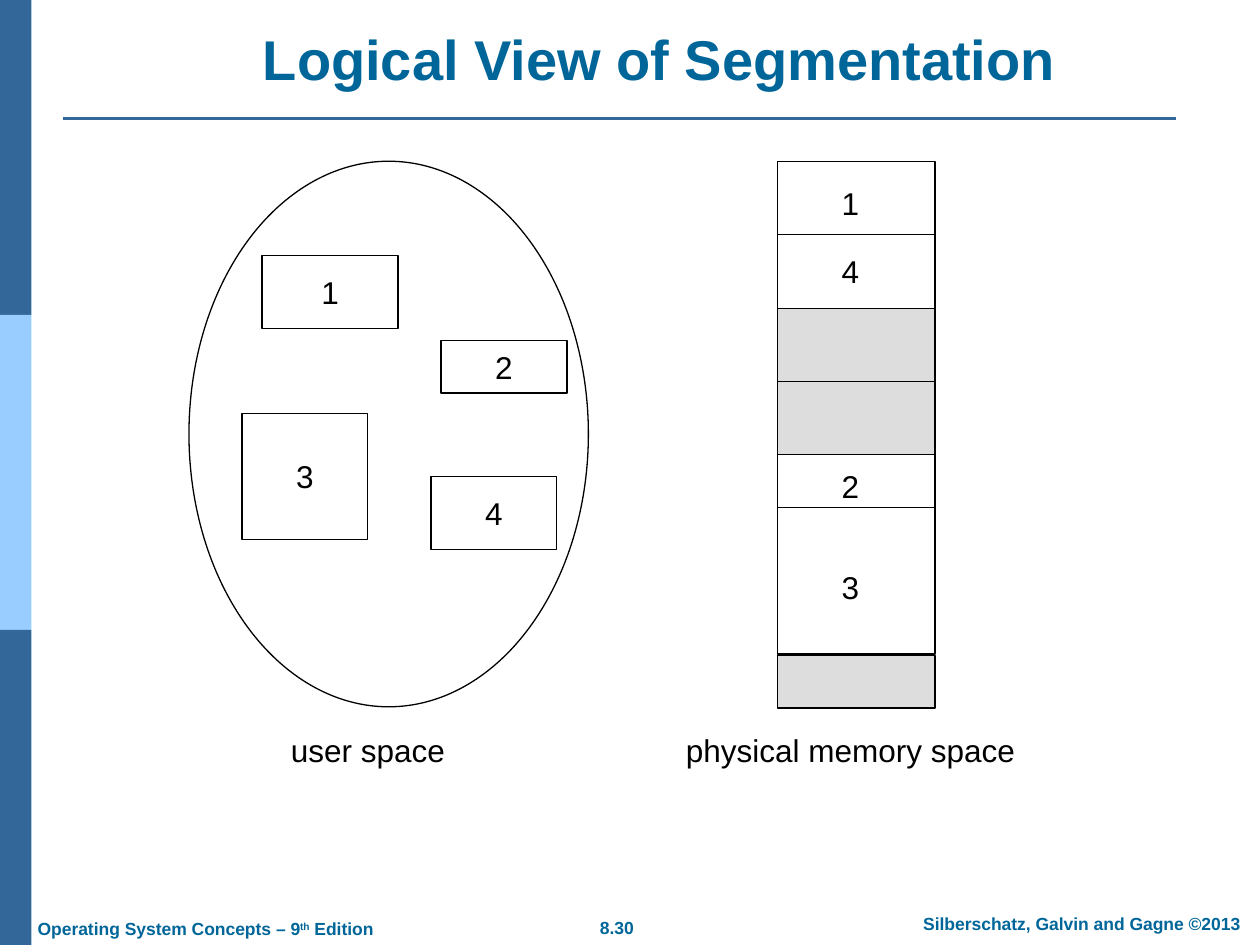
from typing import NamedTuple

from lxml import etree
from pptx import Presentation
from pptx.dml.color import RGBColor
from pptx.enum.shapes import MSO_CONNECTOR, MSO_SHAPE
from pptx.enum.text import MSO_ANCHOR, MSO_AUTO_SIZE, PP_ALIGN
from pptx.oxml.ns import qn
from pptx.util import Inches, Pt

RECTANGLE, OVAL = MSO_SHAPE.RECTANGLE, MSO_SHAPE.OVAL
STRAIGHT = MSO_CONNECTOR.STRAIGHT
TOP, MIDDLE, BOTTOM = MSO_ANCHOR.TOP, MSO_ANCHOR.MIDDLE, MSO_ANCHOR.BOTTOM
LEFT, CENTER = PP_ALIGN.LEFT, PP_ALIGN.CENTER
NO_AUTO_SIZE = MSO_AUTO_SIZE.NONE

FONT = "Arial"
COLORS = {
    "title": "006699",
    "band": "336699",
    "light_band": "99CCFF",
    "white": "FFFFFF",
    "free": "DDDDDD",
    "black": "000000",
}


class Box(NamedTuple):
    left: float
    top: float
    width: float
    height: float


class Segment(NamedTuple):
    label: str
    box: Box


class Block(NamedTuple):
    top: float
    height: float
    color: str


class Label(NamedTuple):
    text: str
    box: Box


def rgb(name: str) -> RGBColor:
    return RGBColor.from_string(COLORS[name])


def style_font(font, size: float, color: str, bold: bool = False) -> None:
    font.name = FONT
    font.size = Pt(size)
    font.bold = bold
    font.color.rgb = rgb(color)


def add_shape(shapes, kind, box: Box, fill: str, outline: str | None = None):
    shape = shapes.add_shape(kind, *map(Inches, box))
    shape.shadow.inherit = False
    shape.fill.solid()
    shape.fill.fore_color.rgb = rgb(fill)
    if outline:
        shape.line.color.rgb = rgb(outline)
        shape.line.width = Pt(0.75)
    else:
        shape.line.fill.background()
    return shape


def add_rule(shapes, left: float, right: float, y: float, color: str, width: float) -> None:
    line = shapes.add_connector(STRAIGHT, Inches(left), Inches(y), Inches(right), Inches(y))
    line.line.color.rgb = rgb(color)
    line.line.width = Pt(width)
    etree.SubElement(line._element.spPr, qn("a:effectLst"))


def add_text(shapes, label: Label, size: float = 18, color: str = "black", bold: bool = False,
             alignment=CENTER, anchor=MIDDLE, wrap: bool = False):
    text_box = shapes.add_textbox(*map(Inches, label.box))
    frame = text_box.text_frame
    frame.word_wrap = wrap
    frame.vertical_anchor = anchor
    paragraph = frame.paragraphs[0]
    paragraph.text = label.text
    paragraph.alignment = alignment
    style_font(paragraph.font, size, color, bold)
    return paragraph


def add_segment(shapes, segment: Segment) -> None:
    shape = add_shape(shapes, RECTANGLE, segment.box, "white", "black")
    frame = shape.text_frame
    frame.word_wrap = False
    frame.vertical_anchor = MIDDLE
    paragraph = frame.paragraphs[0]
    paragraph.text = segment.label
    paragraph.alignment = CENTER
    style_font(paragraph.font, 18, "black")


presentation = Presentation()
presentation.slide_width = Inches(10)
presentation.slide_height = Inches(7.5)
slide = presentation.slides.add_slide(presentation.slide_layouts[5])
shapes = slide.shapes

# Side band and title rule
for index, color in enumerate(("band", "light_band", "band")):
    add_shape(shapes, RECTANGLE, Box(0, 2.5 * index, 0.25, 2.5), color)
add_rule(shapes, 0.5, 9.33, 0.94, "band", 1.5)

# Footer
footer_style = {"size": 10, "color": "title", "bold": True, "anchor": TOP}
add_text(shapes, Label("8.30", Box(4.65, 7.23, 0.49, 0.27)), **footer_style)
add_text(shapes, Label("Silberschatz, Galvin and Gagne ©2013", Box(7.1, 7.2, 2.97, 0.27)),
         wrap=True, **footer_style)
edition = add_text(shapes, Label("Operating System Concepts – 9", Box(0.2, 7.24, 2.89, 0.27)),
                   alignment=LEFT, **footer_style)
ordinal = edition.add_run()
ordinal.text = "th"
ordinal._r.get_or_add_rPr().set("baseline", "30000")
edition.add_run().text = " Edition"

# Title
title = shapes.title
title.left, title.top, title.width, title.height = map(Inches, (0.97, 0.15, 8.53, 0.63))
title.text_frame.text = "Logical View of Segmentation"
title.text_frame.auto_size = NO_AUTO_SIZE
title.text_frame.vertical_anchor = BOTTOM
title.text_frame.paragraphs[0].alignment = CENTER
style_font(title.text_frame.paragraphs[0].font, 32, "title", True)

# User space with its segments
add_shape(shapes, OVAL, Box(1.5, 1.28, 3.17, 4.33), "white", "black")
for segment in (
    Segment("1", Box(2.08, 2.03, 1.08, 0.58)),
    Segment("3", Box(1.92, 3.28, 1, 1)),
    Segment("2", Box(3.5, 2.7, 1, 0.42)),
    Segment("4", Box(3.42, 3.78, 1, 0.58)),
):
    add_segment(shapes, segment)

# Physical memory: blocks, dividers and segment numbers
MEMORY_LEFT, MEMORY_WIDTH = 6.17, 1.25
memory = shapes.add_group_shape().shapes
for block in (
    Block(1.28, 1.17, "white"),
    Block(2.45, 1.17, "free"),
    Block(3.61, 1.58, "white"),
    Block(5.2, 0.42, "free"),
):
    box = Box(MEMORY_LEFT, block.top, MEMORY_WIDTH, block.height)
    add_shape(memory, RECTANGLE, box, block.color, "black")
for y in (1.86, 3.03, 4.03):
    add_rule(memory, MEMORY_LEFT, MEMORY_LEFT + MEMORY_WIDTH, y, "black", 0.75)
for number, top in (("1", 1.41), ("4", 1.95), ("2", 3.66), ("3", 4.46)):
    add_text(memory, Label(number, Box(6.58, top, 0.34, 0.4)))

# Captions
for caption in (
    Label("user space ", Box(2.2, 5.75, 1.51, 0.4)),
    Label("physical memory space", Box(5.33, 5.75, 2.84, 0.4)),
):
    add_text(shapes, caption)

presentation.save("out.pptx")
